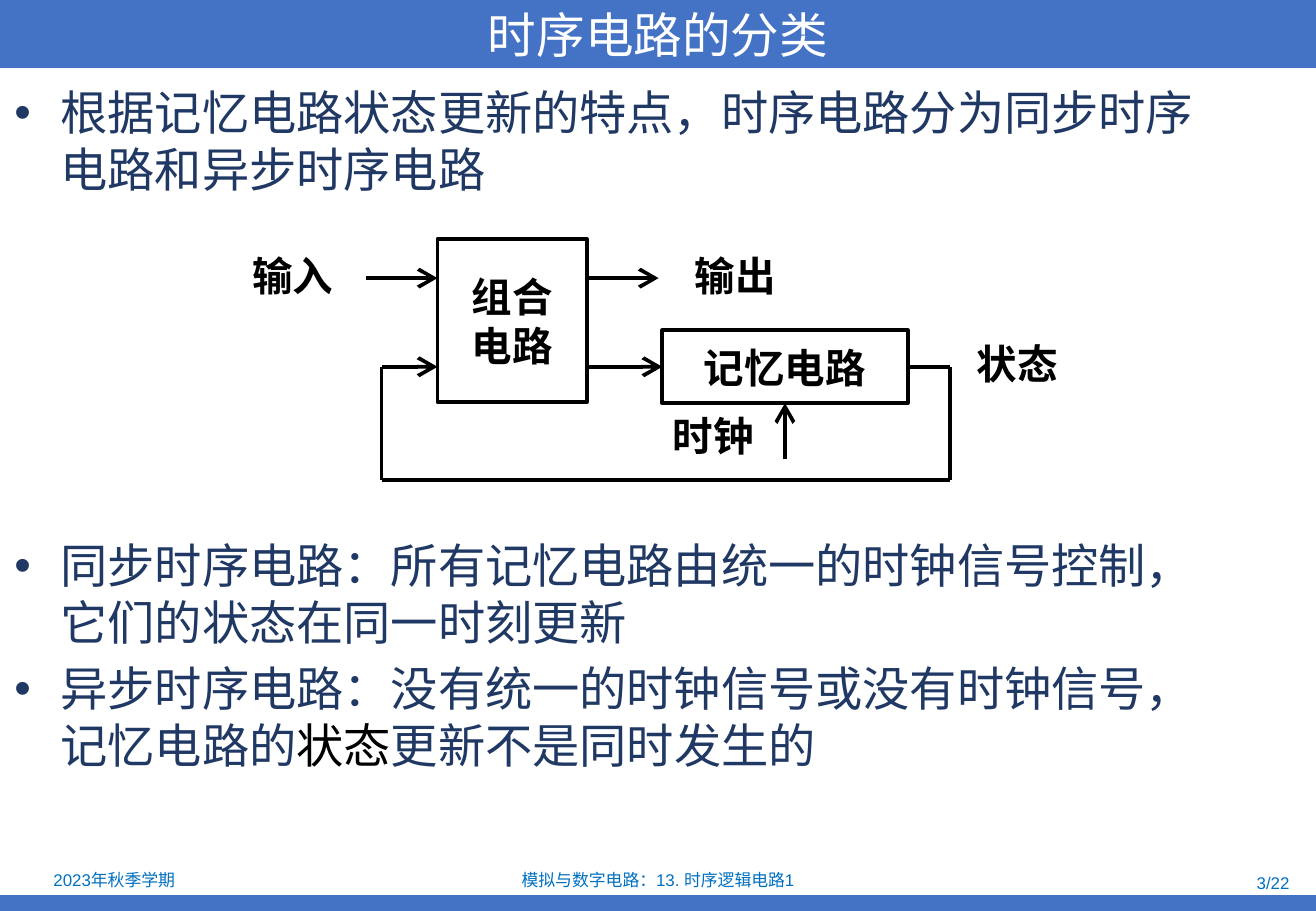
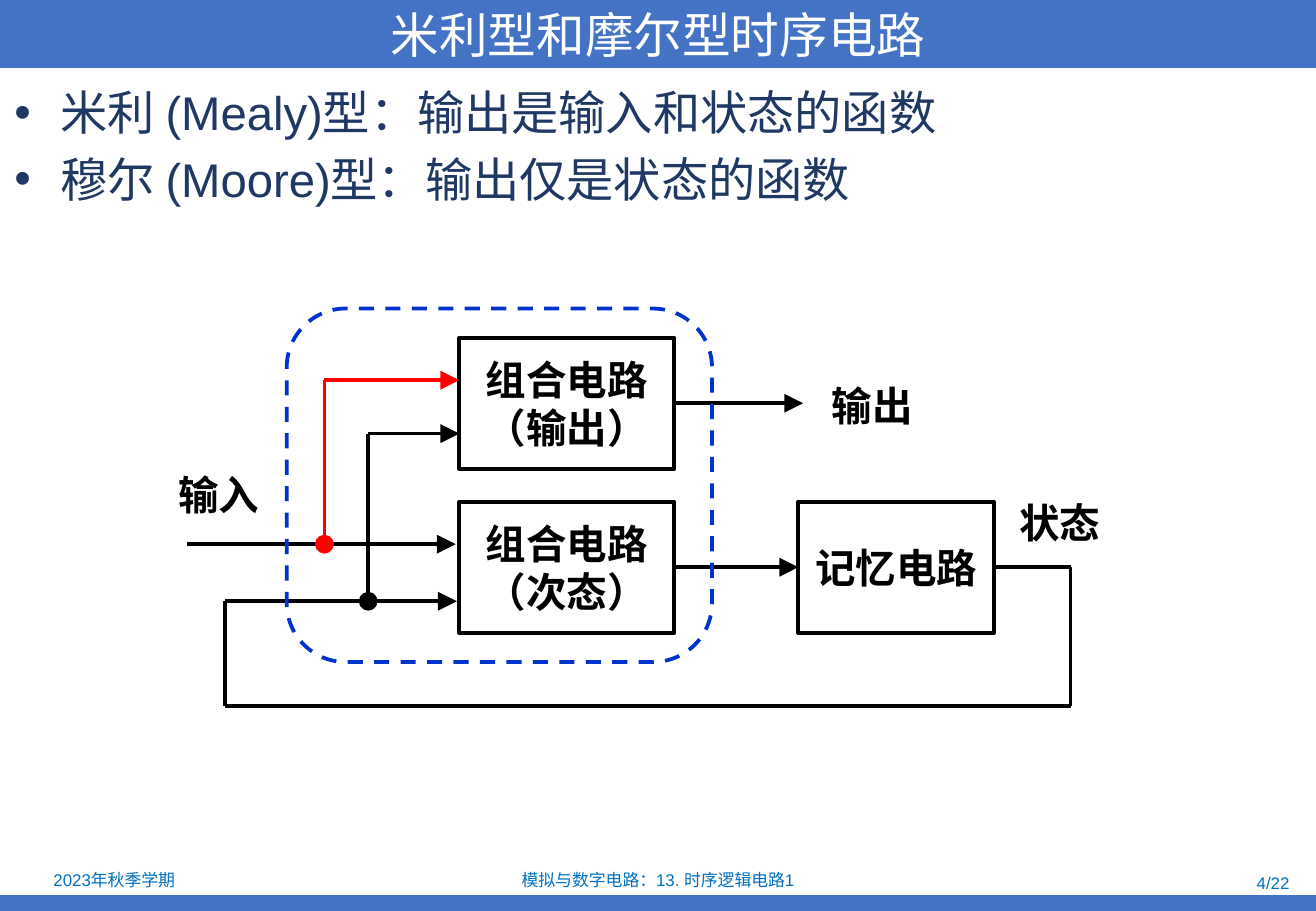
import pptx
import pptx.dml.color
import pptx.enum.dml
import pptx.enum.shapes
import pptx.enum.text
import pptx.oxml.ns
import pptx.util
from lxml import etree

Inches = pptx.util.Inches
Pt = pptx.util.Pt
color = pptx.dml.color.RGBColor.from_string
qn = pptx.oxml.ns.qn
ALIGN = pptx.enum.text.PP_ALIGN
ANCHOR = pptx.enum.text.MSO_ANCHOR
SHAPES = pptx.enum.shapes.MSO_SHAPE
STRAIGHT = pptx.enum.shapes.MSO_CONNECTOR.STRAIGHT

BLUE, BLACK, RED = "4472C4", "000000", "FF0000"
TOP, LEFT, BOTTOM, RIGHT = 0, 1, 2, 3
LINE_WIDTH = Pt(2.25)
MARGINS = ("margin_left", "margin_top", "margin_right", "margin_bottom")
NO_MARGINS = dict.fromkeys(MARGINS, 0)

TITLE = {
    "fill": BLUE, "color": "FFFFFF",
    "font": {"name": "Noto Sans CJK SC", "size": Pt(28.8)},
    "paragraph": {"alignment": ALIGN.CENTER},
    "frame": {"vertical_anchor": ANCHOR.MIDDLE, "word_wrap": True},
}
BODY = {
    "color": "203864", "bullet": "•",
    "font": {"name": "Arial", "size": Pt(28)},
    "paragraph": {"alignment": ALIGN.LEFT, "line_spacing": Pt(33.6)},
    "frame": {"vertical_anchor": ANCHOR.TOP, "word_wrap": True},
}
FOOTER = {
    "color": "0070C0",
    "font": {"name": "Arial", "size": Pt(10)},
    "paragraph": {"alignment": ALIGN.CENTER},
    "frame": {"vertical_anchor": ANCHOR.MIDDLE, "word_wrap": True},
}
PAGE_NUMBER = {**FOOTER, "paragraph": {"alignment": ALIGN.RIGHT}}
LABEL = {
    "color": BLACK,
    "font": {"name": "Times New Roman", "size": Pt(24), "bold": True},
    "paragraph": {"alignment": ALIGN.CENTER},
    "frame": {"vertical_anchor": ANCHOR.MIDDLE, "word_wrap": True, **NO_MARGINS},
}
CIRCUIT = {
    "color": BLACK, "fill": "FFFFFF", "line": BLACK,
    "font": {"name": "Arial", "size": Pt(24), "bold": True},
    "paragraph": {"alignment": ALIGN.CENTER, "line_spacing": Pt(28.8)},
    "frame": {"vertical_anchor": ANCHOR.MIDDLE, "word_wrap": False, **NO_MARGINS},
}


def add_block(slide, place, paragraphs, style):
    position = [Inches(value) for value in place]
    if "fill" in style:
        shape = slide.shapes.add_shape(SHAPES.RECTANGLE, *position)
        shape.shadow.inherit = False
        shape.fill.solid()
        shape.fill.fore_color.rgb = color(style["fill"])
        if "line" in style:
            shape.line.color.rgb = color(style["line"])
            shape.line.width = LINE_WIDTH
        else:
            shape.line.fill.background()
    else:
        shape = slide.shapes.add_textbox(*position)
    frame = shape.text_frame
    for name, value in style["frame"].items():
        setattr(frame, name, value)
    for index, texts in enumerate(paragraphs):
        paragraph = frame.add_paragraph() if index else frame.paragraphs[0]
        for name, value in style["paragraph"].items():
            setattr(paragraph, name, value)
        if "bullet" in style:
            if index:
                paragraph.space_before = Pt(5.6)
            properties = paragraph._p.get_or_add_pPr()
            properties.set("marL", str(Inches(0.38)))
            properties.set("indent", str(-Inches(0.38)))
            etree.SubElement(properties, qn("a:buFont"), typeface="Arial")
            etree.SubElement(properties, qn("a:buChar"), char=style["bullet"])
        for text in texts:
            run = paragraph.add_run()
            run.text = text
            run.font.color.rgb = color(style["color"])
            for name, value in style["font"].items():
                setattr(run.font, name, value)
    return shape


def add_line(slide, points, head=None, line_color=BLACK, begin=None, end=None):
    line = slide.shapes.add_connector(STRAIGHT, *[Inches(value) for value in points])
    line.line.color.rgb = color(line_color)
    line.line.width = LINE_WIDTH
    if head:
        etree.SubElement(line.line._get_or_add_ln(), qn("a:tailEnd"), type=head, w="lg", len="lg")
    etree.SubElement(line._element.spPr, qn("a:effectLst"))
    if begin:
        line.begin_connect(*begin)
    if end:
        line.end_connect(*end)


presentation = pptx.Presentation()
presentation.slide_width = Inches(10.83)
presentation.slide_height = Inches(7.5)

slides = []
for number, title in enumerate(["时序电路的分类", "米利型和摩尔型时序电路"], 3):
    slide = presentation.slides.add_slide(presentation.slide_layouts[6])
    add_block(slide, (0, 7.37, 10.83, 0.13), [], TITLE)
    add_block(slide, (0, 0, 10.83, 0.56), [[title]], TITLE)
    add_block(slide, (0.02, 7.13, 1.84, 0.23), [["2023年秋季学期"]], FOOTER)
    add_block(slide, (3.7, 7.14, 3.43, 0.21), [["模拟与数字电路：13. 时序逻辑电路1"]], FOOTER)
    add_block(slide, (8.18, 7.16, 2.53, 0.21), [[f"{number}/22"]], PAGE_NUMBER)
    slides.append(slide)
types_slide, models_slide = slides

add_block(types_slide, (0.02, 0.64, 10.22, 1.1),
          [["根据记忆电路状态更新的特点，时序电路分为同步时序电路和异步时序电路"]], BODY)
definitions = add_block(types_slide, (0.02, 4.37, 10.22, 2.2), [
    ["同步时序电路：所有记忆电路由统一的时钟信号控制，它们的状态在同一时刻更新"],
    ["异步时序电路：没有统一的时钟信号或没有时钟信号，记忆电路的", "状态", "更新不是同时发生的"],
], BODY)
definitions.text_frame.paragraphs[1].runs[1].font.color.rgb = color(BLACK)

add_block(types_slide, (3.6, 1.97, 1.23, 1.34), [["组合"], ["电路"]], CIRCUIT)
memory = add_block(types_slide, (5.45, 2.72, 2.02, 0.6), [["记忆电路"]], CIRCUIT)
for text, place in [
    ("输入", (1.76, 2.07, 1.3, 0.4)),
    ("输出", (5.42, 2.07, 1.26, 0.4)),
    ("时钟", (5.34, 3.38, 1.06, 0.4)),
    ("状态", (7.74, 2.79, 1.26, 0.4)),
]:
    add_block(types_slide, place, [[text]], LABEL)

add_line(types_slide, (3.01, 2.29, 3.6, 2.29), "arrow")
add_line(types_slide, (4.83, 2.29, 5.42, 2.29), "arrow")
add_line(types_slide, (4.83, 3.02, 5.45, 3.02), "arrow", end=(memory, LEFT))
add_line(types_slide, (6.46, 3.78, 6.46, 3.32), "arrow", end=(memory, BOTTOM))
add_line(types_slide, (7.47, 3.02, 7.82, 3.02), begin=(memory, RIGHT))
add_line(types_slide, (7.82, 3.02, 7.82, 3.95))
add_line(types_slide, (7.82, 3.95, 3.14, 3.95))
add_line(types_slide, (3.14, 3.95, 3.14, 3.02))
add_line(types_slide, (3.14, 3.02, 3.6, 3.02), "arrow")

add_block(models_slide, (0.02, 0.64, 10.81, 1.2), [
    ["米利 (Mealy)型：输出是输入和状态的函数"],
    ["穆尔 (Moore)型：输出仅是状态的函数"],
], BODY)
output_logic = add_block(models_slide, (3.78, 2.78, 1.77, 1.08), [["组合电路"], ["（输出）"]], CIRCUIT)
next_state_logic = add_block(models_slide, (3.78, 4.13, 1.77, 1.08), [["组合电路"], ["（次态）"]], CIRCUIT)
memory = add_block(models_slide, (6.57, 4.13, 1.61, 1.08), [["记忆电路"]], CIRCUIT)
for text, place in [
    ("输出", (6.69, 3.09, 0.98, 0.5)),
    ("状态", (8.23, 4.05, 0.98, 0.5)),
    ("输入", (1.33, 3.82, 0.94, 0.5)),
]:
    add_block(models_slide, place, [[text]], LABEL)

add_line(models_slide, (1.54, 4.48, 3.75, 4.48), "triangle")
add_line(models_slide, (1.85, 4.95, 3.76, 4.95), "triangle")
add_line(models_slide, (3.03, 3.57, 3.78, 3.57), "triangle")
add_line(models_slide, (3.03, 3.57, 3.03, 4.95), "oval")
add_line(models_slide, (2.67, 3.13, 3.78, 3.13), "triangle", RED)
add_line(models_slide, (2.67, 3.13, 2.67, 4.48), "oval", RED)
add_line(models_slide, (5.55, 3.32, 6.61, 3.32), "triangle", begin=(output_logic, RIGHT))
add_line(models_slide, (5.55, 4.67, 6.57, 4.67), "triangle",
         begin=(next_state_logic, RIGHT), end=(memory, LEFT))
add_line(models_slide, (8.18, 4.67, 8.81, 4.67), begin=(memory, RIGHT))
add_line(models_slide, (8.81, 4.67, 8.81, 5.81))
add_line(models_slide, (8.81, 5.81, 1.85, 5.81))
add_line(models_slide, (1.85, 5.81, 1.85, 4.95))

logic_frame = models_slide.shapes.add_shape(
    SHAPES.ROUNDED_RECTANGLE, Inches(2.36), Inches(2.54), Inches(3.5), Inches(2.91))
logic_frame.shadow.inherit = False
logic_frame.fill.background()
logic_frame.line.color.rgb = color("0033CC")
logic_frame.line.width = LINE_WIDTH
logic_frame.line.dash_style = pptx.enum.dml.MSO_LINE.DASH

presentation.save("out.pptx")
